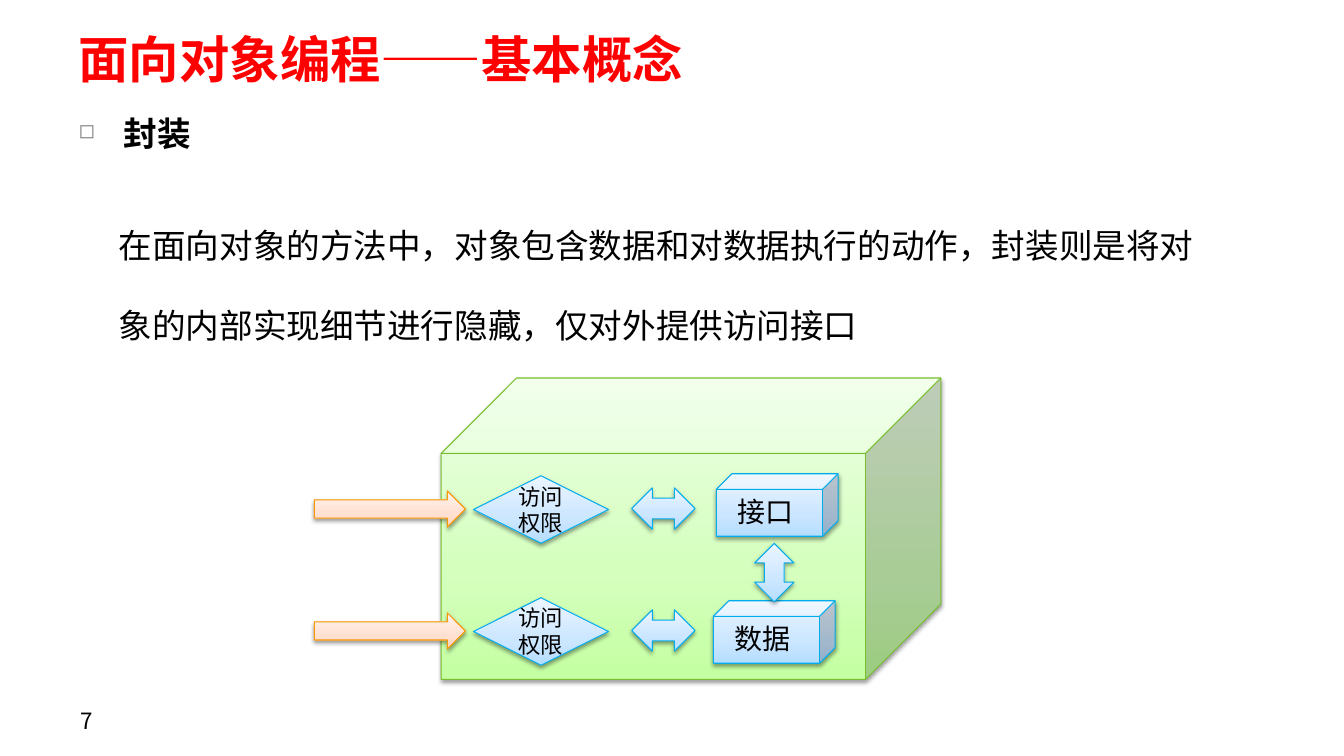
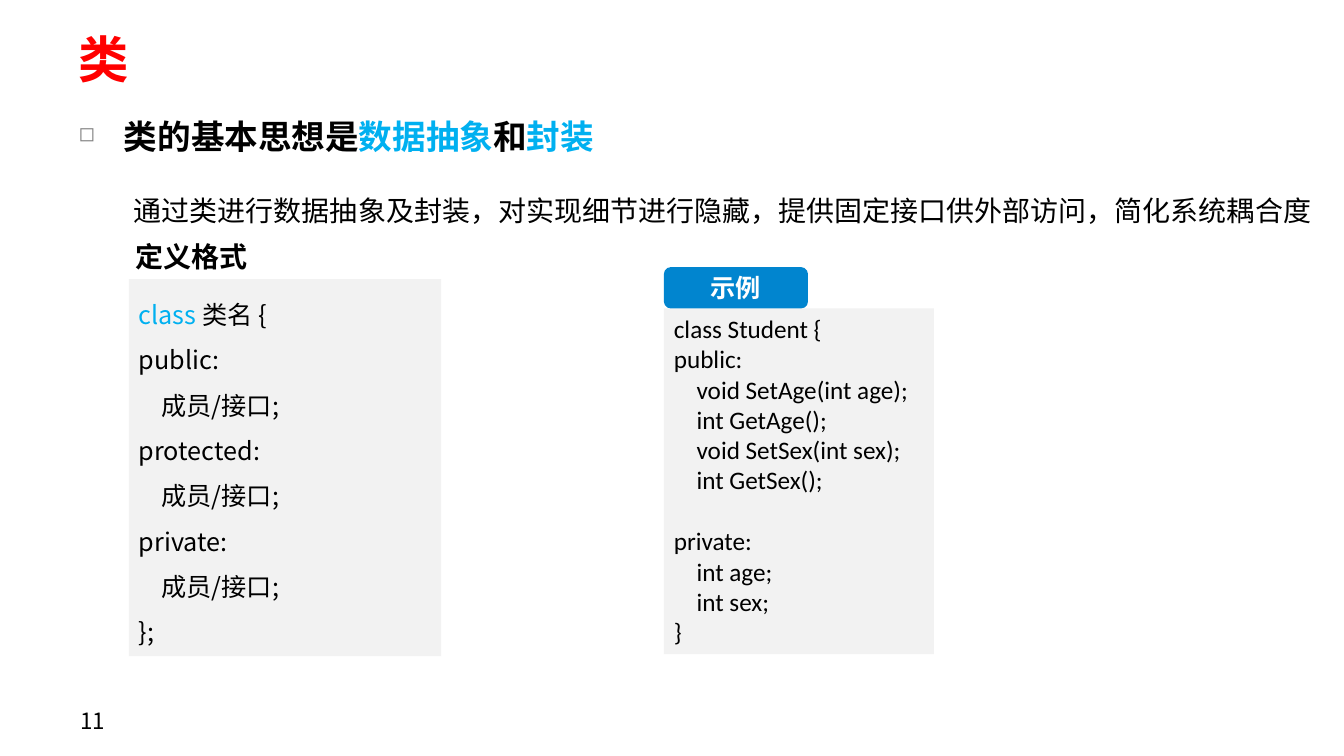
from copy import deepcopy
from dataclasses import dataclass

from lxml.etree import SubElement
from pptx import Presentation
from pptx.dml.color import RGBColor
from pptx.enum.shapes import MSO_SHAPE
from pptx.enum.text import MSO_ANCHOR, MSO_AUTO_SIZE, PP_ALIGN
from pptx.oxml.ns import qn
from pptx.util import Pt

PX = 9144  # EMU per px, 100 px to the inch
TITLE_ONLY = 5


@dataclass(frozen=True)
class Theme:
    font: str = "Noto Sans CJK SC"
    code_font: str = "Calibri"
    black: str = "000000"
    white: str = "FFFFFF"
    red: str = "FF0000"
    cyan: str = "00B0F0"
    grey: str = "808080"
    panel: str = "F2F2F2"
    tab: str = "0185CF"
    # line colour, then gradient colours from bottom to top
    green: tuple = ("79BE2E", "C4FFA2", "D4FFBD", "EEFFE6")
    blue: tuple = ("00ACEB", "B5DDFF", "CBE6FF", "EBF5FF")
    orange: tuple = ("F99600", "FFD4BD", "FFE0D1", "FFF3EE")
    title: int = 36
    heading: int = 24
    body: int = 20
    code: int = 18
    small: int = 16


T = Theme()
WIDE_INSETS = (13, 7, 13, 7)
INSETS = (10, 5, 10, 5)


def emu(*lengths):
    return [n * PX for n in lengths]


def rgb(color):
    return RGBColor.from_string(color)


class Deck:
    def __init__(self):
        self.prs = Presentation()
        self.prs.slide_width, self.prs.slide_height = emu(1334, 750)
        self.s = None

    def fill_text(self, tf, paras, size, color=T.black, bold=False, font=T.font,
                  align=PP_ALIGN.LEFT, anchor=MSO_ANCHOR.TOP, insets=INSETS, spacing=None):
        """Fill a frame; a paragraph is a string or a list of (text, colour) runs."""
        tf.word_wrap = True
        tf.auto_size = MSO_AUTO_SIZE.NONE
        tf.vertical_anchor = anchor
        tf.margin_left, tf.margin_top, tf.margin_right, tf.margin_bottom = emu(*insets)
        for i, para in enumerate(paras):
            p = tf.add_paragraph() if i else tf.paragraphs[0]
            p.alignment = align
            if spacing:
                p.line_spacing = spacing
            for text, run_color in [(para, color)] if isinstance(para, str) else para:
                r = p.add_run()
                r.text = text
                r.font.size, r.font.bold, r.font.name = Pt(size), bold, font
                r.font.color.rgb = rgb(run_color)
                SubElement(r.font._element, qn("a:ea"), typeface=font)
        return tf

    def slide(self, title, number):
        self.s = self.prs.slides.add_slide(self.prs.slide_layouts[TITLE_ONLY])
        sp = self.s.shapes.title
        sp.left, sp.top, sp.width, sp.height = emu(65, 28, 1213, 59)
        self.fill_text(sp.text_frame, [title], T.title, T.red, True,
                       anchor=MSO_ANCHOR.MIDDLE, insets=WIDE_INSETS)
        self.text((67, 695, 311, 40), [number], T.small,
                  anchor=MSO_ANCHOR.MIDDLE, insets=WIDE_INSETS)

    def text(self, box, paras, size, **style):
        sp = self.s.shapes.add_textbox(*emu(*box))
        return self.fill_text(sp.text_frame, paras, size, **style)

    def bullet(self, top, runs):
        tf = self.text((65, top, 1213, 71), [runs], T.heading, bold=True,
                       insets=WIDE_INSETS, spacing=1.4)
        pPr = tf.paragraphs[0]._p.get_or_add_pPr()
        pPr.set("marL", str(45 * PX))
        pPr.set("indent", str(-45 * PX))
        SubElement(SubElement(pPr, qn("a:buClr")), qn("a:srgbClr"), val=T.grey)
        SubElement(pPr, qn("a:buSzPct"), val="60000")
        SubElement(pPr, qn("a:buChar"), char="◻")

    def flat(self, kind, box, fill, paras, size, **style):
        sp = self.s.shapes.add_shape(kind, *emu(*box))
        sp.shadow.inherit = False
        sp.fill.solid()
        sp.fill.fore_color.rgb = rgb(fill)
        sp.line.fill.background()
        return self.fill_text(sp.text_frame, paras, size, **style)

    def glossy(self, kind, box, palette, label=None, size=T.small, insets=INSETS):
        """Shape with a vertical three-stop gradient and a soft shadow."""
        sp = self.s.shapes.add_shape(kind, *emu(*box))
        line, *colors = palette
        sp.line.color.rgb = rgb(line)
        sp.line.width = Pt(0.75)
        sp.fill.gradient()
        sp.fill.gradient_angle = 90
        stops = sp._element.spPr.find(qn("a:gradFill")).find(qn("a:gsLst"))
        stops.append(deepcopy(stops[0]))
        for stop, position, color in zip(sp.fill.gradient_stops, (0, 0.35, 1), colors):
            stop.position = position
            stop.color.rgb = rgb(color)
        sp.shadow.inherit = False
        shadow = SubElement(sp._element.spPr.find(qn("a:effectLst")), qn("a:outerShdw"),
                            blurRad=str(Pt(3.1)), dist=str(Pt(1.6)), dir="5400000",
                            rotWithShape="0")
        color = SubElement(shadow, qn("a:srgbClr"), val=T.black)
        SubElement(color, qn("a:alpha"), val="38000")
        if label:
            self.fill_text(sp.text_frame, [label], size, align=PP_ALIGN.CENTER,
                           anchor=MSO_ANCHOR.MIDDLE, insets=insets)


def encapsulation(deck):
    deck.slide("面向对象编程——基本概念", "7")
    deck.bullet(89, "封装")
    deck.text((108, 178, 1102, 172),
              ["在面向对象的方法中，对象包含数据和对数据执行的动作，"
               "封装则是将对象的内部实现细节进行隐藏，仅对外提供访问接口"],
              T.heading, spacing=2.0)
    deck.glossy(MSO_SHAPE.CUBE, (438, 375, 496, 299), T.green)
    for top, cube_left, cube_top, label in ((472, 711, 470, "接口"), (593, 708, 596, "数据")):
        deck.glossy(MSO_SHAPE.CUBE, (cube_left, cube_top, 121, 62), T.blue,
                    label, T.body, (0, 0, 8, 4))
        deck.glossy(MSO_SHAPE.RIGHT_ARROW, (312, top + 15, 150, 36), T.orange)
        deck.glossy(MSO_SHAPE.FLOWCHART_DECISION, (470, top, 134, 67), T.blue, "访问权限")
        deck.glossy(MSO_SHAPE.LEFT_RIGHT_ARROW, (627, top + 12, 63, 41), T.blue)
    deck.glossy(MSO_SHAPE.UP_DOWN_ARROW, (749, 539, 39, 58), T.blue)


def class_basics(deck):
    deck.slide("类", "11")
    deck.bullet(92, [("类的基本思想是", T.black), ("数据抽象", T.cyan),
                     ("和", T.black), ("封装", T.cyan)])
    deck.text((123, 170, 1210, 61),
              ["通过类进行数据抽象及封装，对实现细节进行隐藏，提供固定接口供外部访问，简化系统耦合度"],
              T.body, spacing=1.5)
    member = "    成员/接口;"
    deck.flat(MSO_SHAPE.RECTANGLE, (128, 277, 310, 374), T.panel,
              [[("class ", T.cyan), ("类名 {", T.black)],
               "public:", member, "protected:", member, "private:", member, "};"],
              T.code, spacing=1.5)
    deck.text((125, 233, 150, 44), ["定义格式"], T.body, bold=True)
    example = deck.flat(MSO_SHAPE.RECTANGLE, (659, 306, 268, 343), T.panel,
                        ["class Student {",
                         "public:",
                         "    void SetAge(int age);",
                         "    int GetAge();",
                         "    void SetSex(int sex);",
                         "    int GetSex();",
                         "private:",
                         "    int age;",
                         "    int sex;",
                         "}"],
                        T.code, font=T.code_font)
    example.paragraphs[6].space_before = Pt(22)
    deck.flat(MSO_SHAPE.ROUNDED_RECTANGLE, (659, 265, 143, 41), T.tab, ["示例"], T.code,
              color=T.white, bold=True, align=PP_ALIGN.CENTER,
              anchor=MSO_ANCHOR.MIDDLE, insets=(6, 3, 6, 3))


def main():
    deck = Deck()
    encapsulation(deck)
    class_basics(deck)
    deck.prs.save("out.pptx")


if __name__ == "__main__":
    main()
